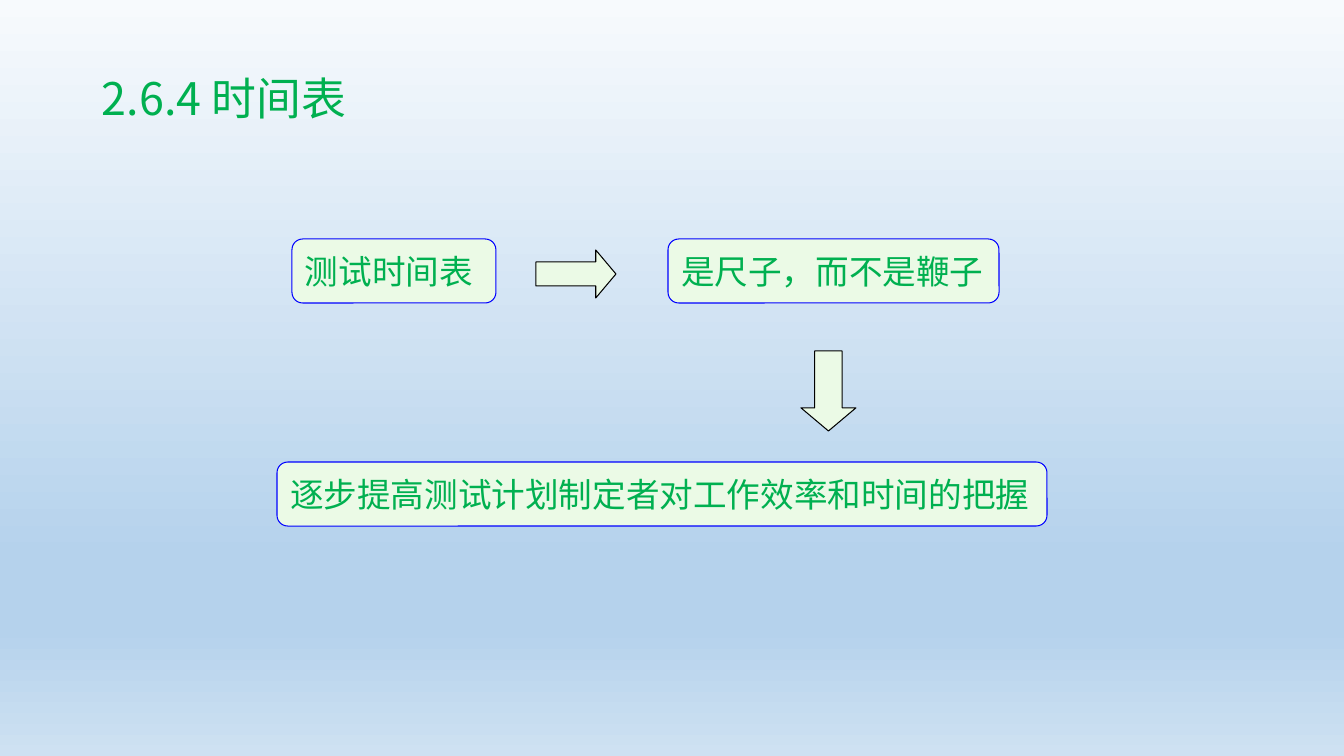
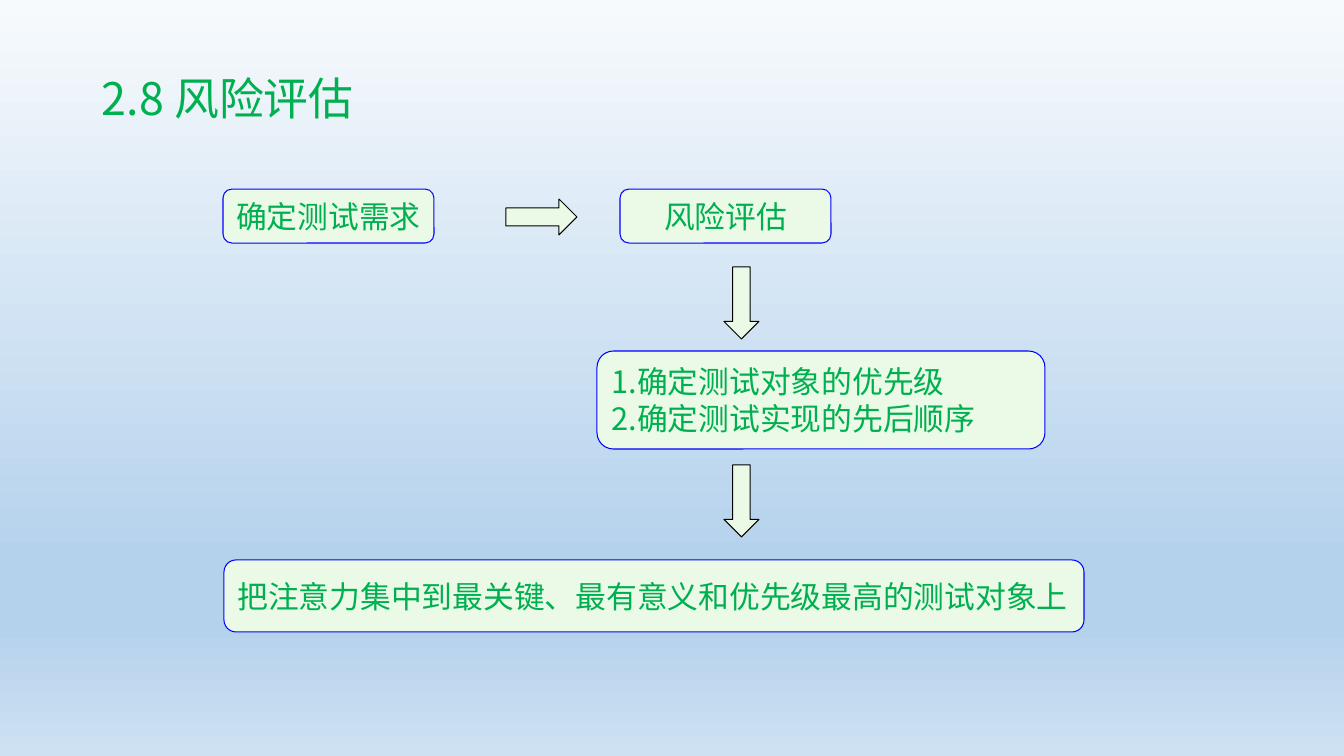
from dataclasses import dataclass

from lxml import etree
from pptx import Presentation
from pptx.dml.color import RGBColor
from pptx.enum.shapes import MSO_SHAPE
from pptx.enum.text import MSO_ANCHOR, PP_ALIGN
from pptx.oxml.ns import qn
from pptx.util import Emu, Pt

ROUND = MSO_SHAPE.ROUNDED_RECTANGLE
RIGHT = MSO_SHAPE.RIGHT_ARROW
DOWN = MSO_SHAPE.DOWN_ARROW
MIDDLE, TOP = MSO_ANCHOR.MIDDLE, MSO_ANCHOR.TOP
LEFT, CENTER = PP_ALIGN.LEFT, PP_ALIGN.CENTER

WIDTH, HEIGHT = 1344, 756
SCALE = 12192000 / WIDTH


@dataclass(frozen=True)
class Theme:
    """Colours, font and type sizes of the deck."""
    font: str = "Noto Sans CJK SC"
    text: str = "00B050"
    fill: str = "EBFAE6"
    node_line: str = "0000FF"
    arrow_line: str = "000000"
    title_size: int = 32
    line_width: float = 0.75
    backdrop: tuple = ((0, "F7FAFD"), (74, "B5D2EC"), (83, "B5D2EC"), (100, "CEE1F2"))


THEME = Theme()


def px(n):
    """Turn pixels into EMU."""
    return Emu(round(n * SCALE))


def place(box, origin=(0, 0)):
    """Return the EMU frame of a box measured from an origin."""
    x, y, w, h = box
    return px(origin[0] + x), px(origin[1] + y), px(w), px(h)


def put_text(sp, text, size, align=LEFT, anchor=MIDDLE, spacing=1.0):
    """Fill a shape with text, one paragraph a line."""
    tf = sp.text_frame
    tf.word_wrap = True
    tf.vertical_anchor = anchor
    for i, line in enumerate(text.split("\n")):
        p = tf.add_paragraph() if i else tf.paragraphs[0]
        p.alignment = align
        p.line_spacing = spacing
        r = p.add_run()
        r.text = line
        r.font.size = Pt(size)
        r.font.name = THEME.font
        r.font.color.rgb = RGBColor.from_string(THEME.text)
        ea = etree.SubElement(r.font._element, qn("a:ea"))
        ea.set("typeface", THEME.font)


def add_block(s, kind, frame, line, adjustments):
    """Draw a filled and outlined preset shape."""
    sp = s.shapes.add_shape(kind, *frame)
    sp.shadow.inherit = False
    sp.fill.solid()
    sp.fill.fore_color.rgb = RGBColor.from_string(THEME.fill)
    sp.line.color.rgb = RGBColor.from_string(line)
    sp.line.width = Pt(THEME.line_width)
    for i, value in enumerate(adjustments):
        sp.adjustments[i] = value
    return sp


def set_backdrop(master):
    """Give the master the vertical gradient that every slide inherits."""
    fill = master.background.fill
    fill.gradient()
    fill.gradient_angle = 270
    stops = next(master.element.iter(qn("a:gsLst")))
    for stop in list(stops):
        stops.remove(stop)
    for pos, color in THEME.backdrop:
        stop = etree.SubElement(stops, qn("a:gs"), pos=str(pos * 1000))
        etree.SubElement(stop, qn("a:srgbClr"), val=color)


def add_title(s, text, box=(92, 72, 907, 62)):
    """Place the slide title in its box."""
    sp = s.shapes.add_textbox(*place(box))
    put_text(sp, text, THEME.title_size, anchor=TOP, spacing=0.9)


def add_flow(s, origin, size, head, nodes, arrows):
    """Place the nodes and block arrows of a flow from its top left corner."""
    for text, align, box in nodes:
        sp = add_block(s, ROUND, place(box, origin), THEME.node_line, [0.167])
        put_text(sp, text, size, align=align)
    for kind, box in arrows:
        add_block(s, kind, place(box, origin), THEME.arrow_line, [0.5, head])


SLIDES = (
    ("2.6.4 时间表", dict(
        origin=(277, 239), size=24, head=0.42,
        nodes=(
            ("测试时间表", LEFT, (15, 0, 204, 64)),
            ("是尺子，而不是鞭子", LEFT, (391, 0, 331, 64)),
            ("逐步提高测试计划制定者对工作效率和时间的把握", LEFT, (0, 223, 770, 64)),
        ),
        arrows=((RIGHT, (259, 11, 80, 48)), (DOWN, (524, 112, 55, 80))),
    )),
    ("2.8 风险评估", dict(
        origin=(223, 189), size=22, head=0.5,
        nodes=(
            ("确定测试需求", CENTER, (0, 0, 211, 54)),
            ("风险评估", CENTER, (397, 0, 211, 54)),
            ("1.确定测试对象的优先级\n2.确定测试实现的先后顺序", LEFT, (374, 162, 448, 98)),
            ("把注意力集中到最关键、最有意义和优先级最高的测试对象上", LEFT, (1, 371, 860, 72)),
        ),
        arrows=(
            (RIGHT, (283, 10, 71, 36)),
            (DOWN, (501, 78, 35, 72)),
            (DOWN, (501, 276, 35, 72)),
        ),
    )),
)


def main():
    """Build the deck and save it."""
    prs = Presentation()
    prs.slide_width, prs.slide_height = px(WIDTH), px(HEIGHT)
    set_backdrop(prs.slide_master)
    for title, flow in SLIDES:
        s = prs.slides.add_slide(prs.slide_layouts[6])
        add_title(s, title)
        add_flow(s, **flow)
    prs.save("out.pptx")


if __name__ == "__main__":
    main()
